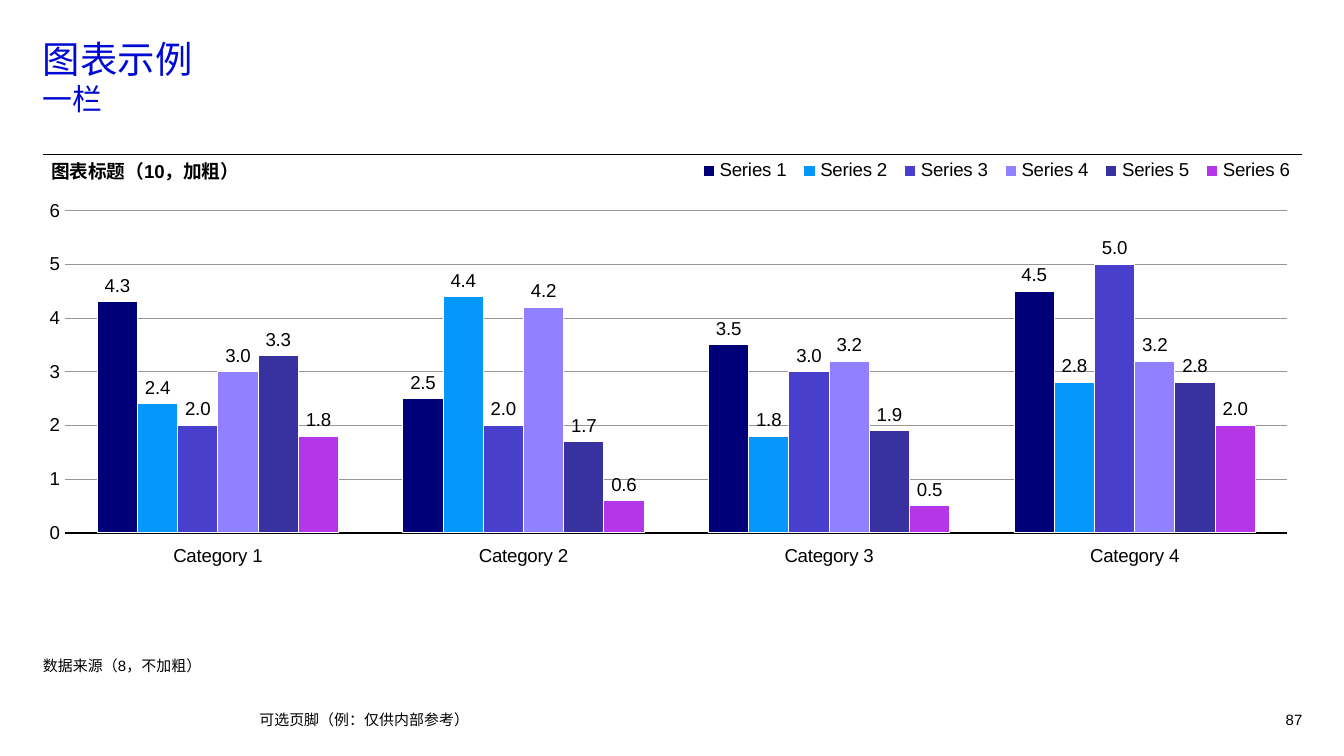
from lxml import etree
from pptx import Presentation
from pptx.chart.data import CategoryChartData
from pptx.dml.color import RGBColor
from pptx.enum.chart import (XL_CHART_TYPE, XL_LABEL_POSITION, XL_LEGEND_POSITION,
                             XL_TICK_LABEL_POSITION, XL_TICK_MARK)
from pptx.enum.shapes import MSO_CONNECTOR
from pptx.enum.text import MSO_ANCHOR, PP_ALIGN
from pptx.oxml.ns import qn
from pptx.util import Inches, Pt

COLORS = {"text": "000000", "title": "000AD2", "grid": "979797", "gap": "FFFFFF"}
LATIN, CJK = "Arial", "Noto Sans CJK SC"
LEFT, WIDTH = 0.32, 9.37
CHART_HEIGHT = 3.15

TITLE = [("图表示例", 20), ("一栏", 16)]
CHART_TITLE = [("图表标题（10，加粗）", 10)]
SOURCE = [("数据来源（8，不加粗）", 8)]
FOOTER = [("可选页脚（例：仅供内部参考）", 8)]
PAGE_NUMBER = [("87", 8)]

CATEGORIES = ["Category 1", "Category 2", "Category 3", "Category 4"]
SERIES = [
    ("Series 1", "000078", (4.3, 2.5, 3.5, 4.5)),
    ("Series 2", "0598FA", (2.4, 4.4, 1.8, 2.8)),
    ("Series 3", "483FCD", (2.0, 2.0, 3.0, 5.0)),
    ("Series 4", "9180FF", (3.0, 4.2, 3.2, 3.2)),
    ("Series 5", "3831A0", (3.3, 1.7, 1.9, 2.8)),
    ("Series 6", "B436E8", (1.8, 0.6, 0.5, 2.0)),
]


def rgb(value):
    return RGBColor.from_string(value)


def style_line(line, color, width):
    line.color.rgb = rgb(color)
    line.width = Pt(width)


def style_font(font, size, color=COLORS["text"], name=LATIN, bold=False):
    font.size, font.name, font.bold = Pt(size), name, bold
    font.color.rgb = rgb(color)


def add_text(page, lines, at, color=COLORS["text"], name=LATIN, bold=False,
             align=PP_ALIGN.LEFT, anchor=MSO_ANCHOR.TOP, spacing=None, inset=0):
    """Add one paragraph of (text, size) lines separated by line breaks."""
    box = page.shapes.add_textbox(*map(Inches, at))
    frame = box.text_frame
    frame.word_wrap = True
    frame.vertical_anchor = anchor
    frame.margin_left = Inches(inset)
    frame.margin_top = frame.margin_right = frame.margin_bottom = 0
    para = frame.paragraphs[0]
    para.alignment = align
    para.line_spacing = spacing
    for index, (text, size) in enumerate(lines):
        if index:
            para.add_line_break()
        span = para.add_run()
        span.text = text
        style_font(span.font, size, color, name, bold)
        latin = span.font._element.find(qn("a:latin"))
        latin.addnext(latin.makeelement(qn("a:ea"), {"typeface": CJK}))


def place(parent, index, x, y, w, h, target=None):
    """Give a chart part a manual layout, in inches from the chart's corner."""
    for old in parent.findall(qn("c:layout")):
        parent.remove(old)
    layout = parent.makeelement(qn("c:layout"))
    manual = etree.SubElement(layout, qn("c:manualLayout"))
    values = {"layoutTarget": target, "xMode": "edge", "yMode": "edge",
              "x": x / WIDTH, "y": y / CHART_HEIGHT,
              "w": w / WIDTH, "h": h / CHART_HEIGHT}
    for tag, value in values.items():
        if value is not None:
            etree.SubElement(manual, qn(f"c:{tag}")).set("val", str(value))
    parent.insert(index, layout)


def add_column_chart(page):
    data = CategoryChartData(number_format="#,##0.0")
    data.categories = CATEGORIES
    for name, _, values in SERIES:
        data.add_series(name, values)
    chart = page.shapes.add_chart(
        XL_CHART_TYPE.COLUMN_CLUSTERED, Inches(0.31), Inches(1.16),
        Inches(WIDTH), Inches(CHART_HEIGHT), data).chart
    style_font(chart.font, 10)
    chart.has_title = False

    chart.has_legend = True
    legend = chart.legend
    legend.position = XL_LEGEND_POSITION.TOP
    legend.include_in_layout = False
    style_font(legend.font, 10)
    place(legend._element, 1, 4.84, 0, 4.53, 0.22)
    plot_area = chart._chartSpace.chart.plotArea
    place(plot_area, 0, 0.06, 0.33, 9.21, 2.73, "outer")

    for axis in (chart.category_axis, chart.value_axis):
        axis.major_tick_mark = axis.minor_tick_mark = XL_TICK_MARK.NONE
        style_font(axis.tick_labels.font, 10)
    chart.category_axis.tick_label_position = XL_TICK_LABEL_POSITION.LOW
    style_line(chart.category_axis.format.line, COLORS["text"], 1)
    values = chart.value_axis
    values.minimum_scale, values.maximum_scale, values.major_unit = 0, 6, 1
    values.tick_labels.number_format = "0"
    values.tick_labels.number_format_is_linked = False
    values.format.line.fill.background()
    style_line(values.major_gridlines.format.line, COLORS["grid"], 0.5)

    plot = chart.plots[0]
    plot.gap_width, plot.overlap = 160, 0
    plot.vary_by_categories = False
    for series, (_, color, _) in zip(plot.series, SERIES):
        series.format.fill.solid()
        series.format.fill.fore_color.rgb = rgb(color)
        style_line(series.format.line, COLORS["gap"], 0.5)
        labels = series.data_labels
        labels.show_value = True
        labels.position = XL_LABEL_POSITION.OUTSIDE_END
        labels.number_format = "#,##0.0"
        labels.number_format_is_linked = False
        style_font(labels.font, 10)


def add_rule(page, y):
    rule = page.shapes.add_connector(MSO_CONNECTOR.STRAIGHT, Inches(LEFT), Inches(y),
                                     Inches(LEFT + WIDTH), Inches(y))
    style_line(rule.line, COLORS["text"], 0.75)
    etree.SubElement(rule._element.spPr, qn("a:effectLst"))


def main():
    deck = Presentation()
    deck.slide_width = Inches(10)
    deck.slide_height = deck.slide_width * 9 // 16
    page = deck.slides.add_slide(deck.slide_layouts[6])
    add_rule(page, 1.15)
    add_text(page, SOURCE, (LEFT, 4.49, WIDTH, 0.53), anchor=MSO_ANCHOR.BOTTOM, spacing=1.1)
    add_column_chart(page)
    add_text(page, CHART_TITLE, (0.37, 1.19, 9.31, 0.17), bold=True, inset=0.01)
    add_text(page, FOOTER, (1.93, 5.28, 6.46, 0.15), anchor=MSO_ANCHOR.MIDDLE)
    add_text(page, PAGE_NUMBER, (9.3, 5.28, 0.39, 0.15), anchor=MSO_ANCHOR.MIDDLE,
             align=PP_ALIGN.RIGHT)
    add_text(page, TITLE, (LEFT, 0.27, WIDTH, 0.72), color=COLORS["title"], name=CJK)
    deck.save("out.pptx")


if __name__ == "__main__":
    main()
